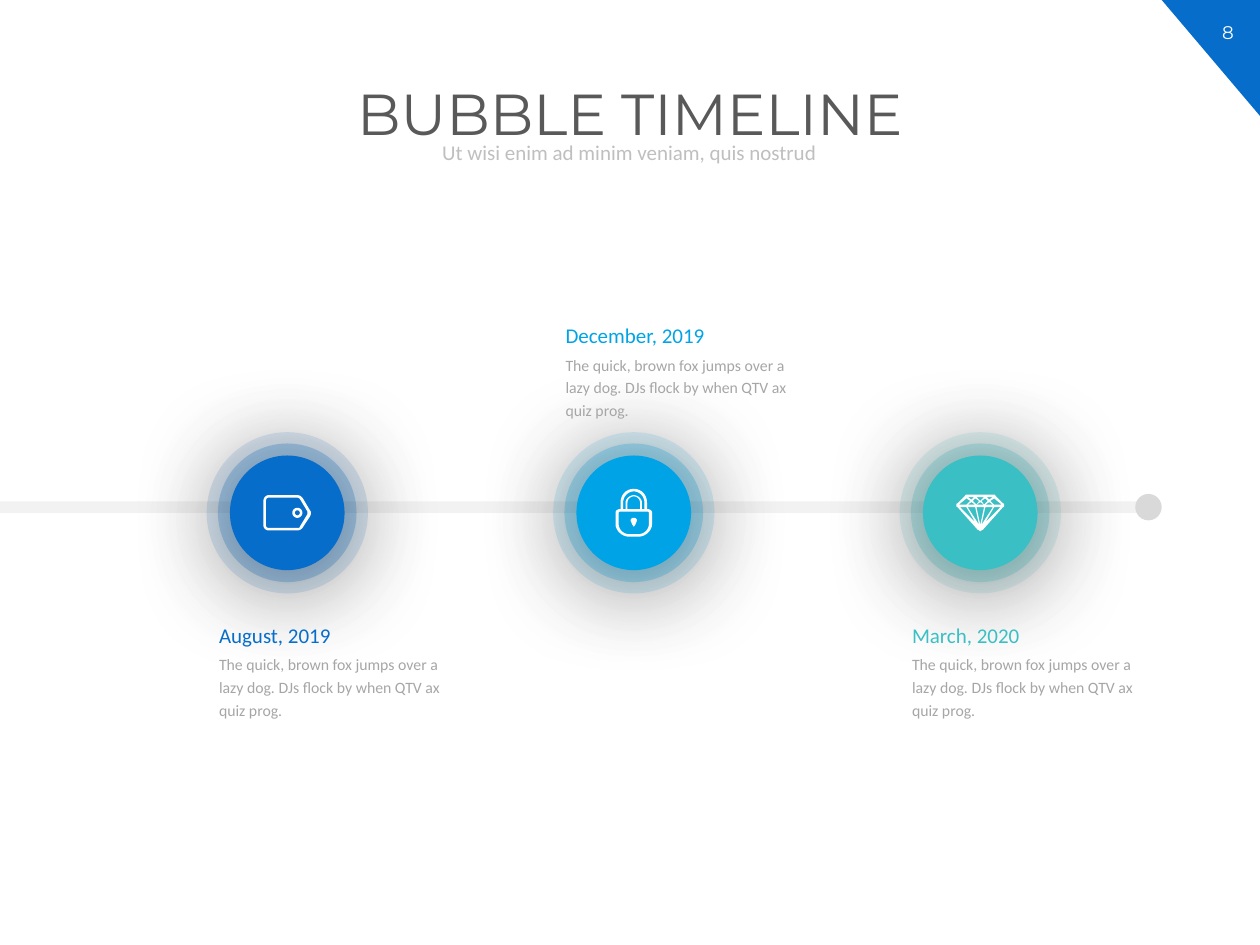
"""Build a bubble timeline slide with three dated milestones."""
import math
import pptx
import pptx.util
import pptx.dml.color
import pptx.enum.shapes
import pptx.enum.text
import pptx.oxml.ns
from lxml import etree

Inches, Pt = pptx.util.Inches, pptx.util.Pt
SHAPE = pptx.enum.shapes.MSO_SHAPE
ALIGN = pptx.enum.text.PP_ALIGN
ANCHOR = pptx.enum.text.MSO_ANCHOR
FIT = pptx.enum.text.MSO_AUTO_SIZE

THEME = {
    "heading": "Montserrat", "body": "Calibri",
    "title": (33, "595959"), "subtitle": (12, "BFBFBF"), "number": (10.5, "FFFFFF"),
    "date_size": 12, "note": (9, "A6A6A6"),
    "corner": "066DCA", "track": "F2F2F2", "dot": "D9D9D9", "icon": "FFFFFF",
}


def circle(x, y, radius, steps=32):
    """Return the points of a circle."""
    angles = [2 * math.pi * step / steps for step in range(steps)]
    return [(x + radius * math.cos(a), y + radius * math.sin(a)) for a in angles]


def mirrored(contours, width):
    """Return the contours followed by their left-right mirror images."""
    return contours + [[(width - x, y) for x, y in contour] for contour in contours]


TAG = ((38, 28), [
    [[(37, 12), (31, 2), (30, 1, 29, 0, 27, 0), (4, 0), (2, 0, 0, 2, 0, 5), (0, 24),
      (0, 26, 2, 28, 4, 28), (27, 28), (29, 28, 30, 27, 31, 26), (37, 17),
      (38, 15, 38, 13, 37, 12)],
     [(35, 15), (29, 25), (29, 26, 28, 26, 27, 26), (4, 26), (3, 26, 2, 25, 2, 24),
      (2, 5), (2, 3, 3, 2, 4, 2), (27, 2), (28, 2, 29, 3, 29, 3), (35, 13),
      (35, 14, 35, 15, 35, 15)]],
    [circle(27, 14, 4), circle(27, 14, 2)],
])
LOCK = ((29, 38), [
    [[(25, 16), (25, 11), (25, 5, 21, 0, 14.5, 0), (8, 0, 4, 5, 4, 11), (4, 16),
      (2, 16, 0, 17, 0, 19), (0, 28), (0, 33, 5, 38, 11, 38), (18, 38),
      (24, 38, 29, 33, 29, 28), (29, 19), (29, 17, 27, 16, 25, 16)],
     [(26.5, 19), (26.5, 28), (26.5, 32, 23, 36, 18, 36), (11, 36),
      (6, 36, 2.5, 32, 2.5, 28), (2.5, 19), (2.5, 19, 2.5, 18, 4, 18), (25, 18),
      (26.5, 18, 26.5, 19, 26.5, 19)],
     [(6, 16), (6, 11), (6, 6, 10, 2, 14.5, 2), (19, 2, 23, 6, 23, 11), (23, 16),
      (21, 16), (21, 11), (21, 8, 18, 5, 14.5, 5), (11, 5, 8, 8, 8, 11), (8, 16)],
     [(9.5, 16), (9.5, 11), (9.5, 8, 12, 6, 14.5, 6), (17, 6, 19.5, 8, 19.5, 11),
      (19.5, 16)]],
    [[(14.5, 23), (13, 23, 12, 24, 12, 25), (12, 26, 13, 27, 13, 28),
      (14, 29, 14, 30, 14.5, 30), (15, 30, 15, 29, 16, 28),
      (16, 27, 17, 26, 17, 25), (17, 24, 16, 23, 14.5, 23)]],
])
DIAMOND = ((38, 29), [
    [[(37, 7), (31, 1), (31, 0, 30, 0, 30, 0), (9, 0), (8, 0, 7, 0, 7, 1), (1, 7),
      (0, 7, 0, 8, 0, 8), (0, 9, 0, 10, 1, 10), (17, 28), (18, 28, 18, 29, 19, 29),
      (20, 29, 20, 28, 21, 28), (37, 10), (38, 10, 38, 9, 38, 8), (38, 8, 38, 7, 37, 7)],
     [(19, 5), (16, 2), (22, 2)], [(22, 10), (19, 24), (16, 10)],
     [(22, 8), (16, 8), (19, 6)]]
    + mirrored([
        [(8, 3), (11, 5), (8, 8), (2, 8)], [(15, 22), (3, 10), (8, 10)],
        [(15, 10), (18, 24), (9, 10)], [(12, 6), (15, 8), (9, 8)],
        [(12, 4), (9, 2), (14, 2)], [(16, 8), (13, 5), (15, 3), (18, 5)]], 38),
])

TITLE = "BUBBLE TIMELINE"
SUBTITLE = "Ut wisi enim ad minim veniam, quis nostrud"
NOTE = "The quick, brown fox jumps over a lazy dog. DJs flock by when QTV ax quiz prog."
MILESTONES = [
    ("August, 2019", "066DCA", 4.85, TAG),
    ("December, 2019", "00A4E6", 2.47, LOCK),
    ("March, 2020", "3ABFC4", 4.85, DIAMOND),
]
RINGS = [(1.28, 13, 49), (1.1, 25, 49), (0.91, 100, 64)]
FIRST_X, CENTER_Y, PITCH = 2.28, 4.07, 2.75


def paint(shape, color):
    """Give a shape a flat fill without line or shadow."""
    shape.shadow.inherit = False
    shape.fill.solid()
    shape.fill.fore_color.rgb = pptx.dml.color.RGBColor.from_string(color)
    shape.line.fill.background()
    return shape


def add_preset(shapes, kind, at, color):
    return paint(shapes.add_shape(kind, *map(Inches, at)), color)


def add_alpha(color_element, percent):
    alpha = etree.SubElement(color_element, pptx.oxml.ns.qn("a:alpha"))
    alpha.set("val", str(percent * 1000))


def add_ring(shapes, x, size, color, opacity, blur):
    """Draw one translucent circle with a soft shadow."""
    qn = pptx.oxml.ns.qn
    at = (x - size / 2, CENTER_Y - size / 2, size, size)
    properties = add_preset(shapes, SHAPE.OVAL, at, color)._element.spPr
    if opacity < 100:
        add_alpha(properties.find(".//" + qn("a:srgbClr")), opacity)
    shadow = etree.SubElement(properties.find(qn("a:effectLst")), qn("a:outerShdw"))
    for name, value in (("blurRad", Pt(blur)), ("dist", Pt(4)), ("dir", 90 * 60000),
                        ("algn", "t"), ("rotWithShape", 0)):
        shadow.set(name, str(value))
    add_alpha(etree.SubElement(shadow, qn("a:srgbClr"), val="000000"), 43)


def flatten(contour, steps=8):
    """Turn lines and cubic curves into a list of points."""
    points = []
    for item in contour:
        if len(item) == 2:
            points.append(item)
            continue
        start, ends = points[-1], (item[:2], item[2:4], item[4:])
        for step in range(1, steps + 1):
            t = step / steps
            weights = ((1 - t) ** 3, 3 * t * (1 - t) ** 2, 3 * t * t * (1 - t), t ** 3)
            points.append(tuple(sum(w * p[axis] for w, p in zip(weights, (start, *ends)))
                                for axis in (0, 1)))
    return points


def add_icon(slide, x, icon):
    """Draw an icon, given in hundredths of an inch, centred on its bubble."""
    (width, height), parts = icon
    group = slide.shapes.add_group_shape()
    for contours in parts:
        builder = None
        for contour in contours:
            points = [(Inches(x + (px - width / 2) / 100),
                       Inches(CENTER_Y + (py - height / 2) / 100))
                      for px, py in flatten(contour)]
            if builder is None:
                builder = group.shapes.build_freeform(*points[0])
            else:
                builder.move_to(*points[0])
            builder.add_line_segments(points[1:], close=True)
        paint(builder.convert_to_shape(), THEME["icon"])


def write(box, text, style, font, spacing=None, align=ALIGN.LEFT,
          anchor=ANCHOR.TOP, fit=FIT.NONE):
    """Set and format the single paragraph of a box."""
    frame = box.text_frame
    frame.text = text
    frame.word_wrap = True
    frame.auto_size = fit
    frame.vertical_anchor = anchor
    para = frame.paragraphs[0]
    para.alignment = align
    if spacing:
        para.line_spacing = spacing
    span = para.runs[0]
    span.font.size, span.font.name = Pt(style[0]), font
    span.font.color.rgb = pptx.dml.color.RGBColor.from_string(style[1])


def add_text(slide, at, *content, **options):
    write(slide.shapes.add_textbox(*map(Inches, at)), *content, **options)


def main():
    deck = pptx.Presentation()
    deck.slide_width, deck.slide_height = Inches(10), Inches(7.5)
    slide = deck.slides.add_slide(deck.slide_layouts[5])
    heading, body = THEME["heading"], THEME["body"]

    corner = add_preset(slide.shapes, SHAPE.RIGHT_TRIANGLE, (9.22, 0, 0.78, 0.92), THEME["corner"])
    corner.rotation = 180
    add_text(slide, (9.49, 0.12, 0.51, 0.28), "8", THEME["number"], heading,
             align=ALIGN.CENTER, fit=FIT.SHAPE_TO_FIT_TEXT)

    title = slide.shapes.title
    title.left, title.top, title.width, title.height = map(Inches, (0.57, 0.63, 8.86, 0.73))
    write(title, TITLE, THEME["title"], heading, 0.9, ALIGN.CENTER)
    add_text(slide, (1.39, 1.09, 7.21, 0.26), SUBTITLE, THEME["subtitle"], body, 0.9,
             ALIGN.CENTER, ANCHOR.MIDDLE)

    track = add_preset(slide.shapes, SHAPE.ROUNDED_RECTANGLE, (-0.09, 3.98, 9.22, 0.09), THEME["track"])
    track.adjustments[0] = 0.5
    add_preset(slide.shapes, SHAPE.OVAL, (9.01, 3.92, 0.21, 0.21), THEME["dot"])

    for index, (date, color, top, icon) in enumerate(MILESTONES):
        x = FIRST_X + index * PITCH
        left = x - RINGS[0][0] / 2
        bubble = slide.shapes.add_group_shape()
        for size, opacity, blur in RINGS:
            add_ring(bubble.shapes, x, size, color, opacity, blur)
        add_text(slide, (left, top, 2.07, 0.34), date, (THEME["date_size"], color), body, 1.2,
                 fit=FIT.SHAPE_TO_FIT_TEXT)
        add_text(slide, (left, top + 0.27, 1.95, 0.65), NOTE, THEME["note"], body, 1.2,
                 fit=FIT.SHAPE_TO_FIT_TEXT)
        add_icon(slide, x, icon)

    deck.save("out.pptx")


if __name__ == "__main__":
    main()
